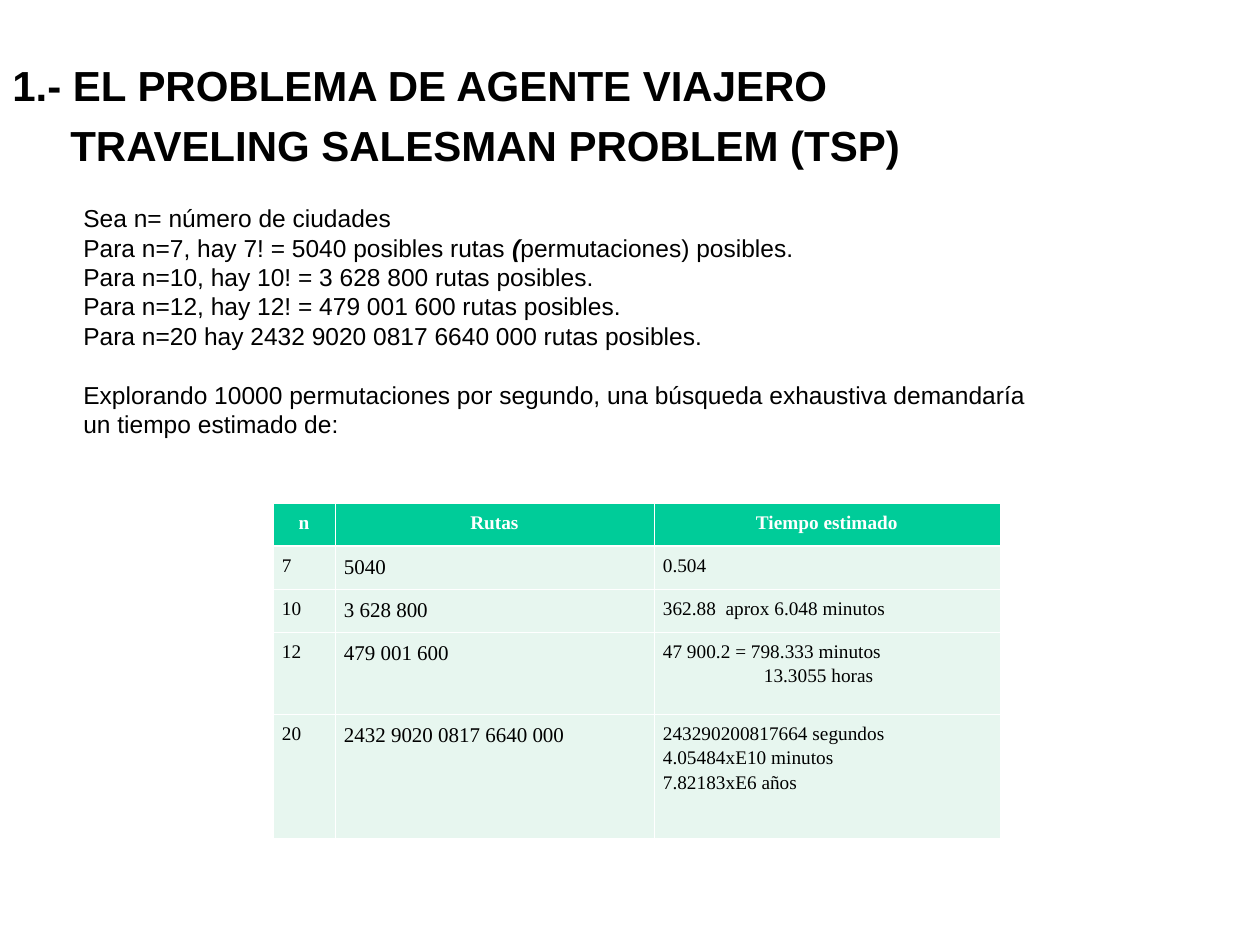
from lxml import etree
from pptx import Presentation
from pptx.dml.color import RGBColor
from pptx.enum.text import MSO_ANCHOR, PP_ALIGN
from pptx.oxml.ns import qn
from pptx.util import Emu, Pt

CENTER, LEFT = PP_ALIGN.CENTER, PP_ALIGN.LEFT
TOP, MIDDLE = MSO_ANCHOR.TOP, MSO_ANCHOR.MIDDLE
SCALE = 914400 / 126
BLACK, WHITE, GREEN, MINT = "000000", "FFFFFF", "00CC99", "E7F6EF"


def px(n):
    return Emu(round(n * SCALE))


def color(code):
    return RGBColor.from_string(code)


class Deck:
    sans, serif = "Arial", "Times New Roman"

    def __init__(self, wide, high):
        self.file = Presentation()
        self.file.slide_width, self.file.slide_height = px(wide), px(high)
        self.slide = self.file.slides.add_slide(self.file.slide_layouts[6])

    def run(self, para, text, size, font, tint=BLACK, bold=False, slant=False):
        run = para.add_run()
        run.text = text
        run.font.size, run.font.name = Pt(size), font
        run.font.bold, run.font.italic = bold, slant
        run.font.color.rgb = color(tint)

    def lines(self, frame, count):
        """Return the wanted number of paragraphs."""
        for _ in range(count - 1):
            frame.add_paragraph()
        return frame.paragraphs

    def indent(self, para, left):
        props = para._p.get_or_add_pPr()
        props.set("marL", str(px(left)))
        props.set("indent", "0")

    def text(self, box, rows, size, bold=False, anchor=TOP, inset=6):
        """Each row is a list of (text, emphasis) runs."""
        frame = self.slide.shapes.add_textbox(*map(px, box)).text_frame
        frame.word_wrap = True
        frame.vertical_anchor = anchor
        frame.margin_top = px(inset)
        paras = self.lines(frame, len(rows))
        for para, row in zip(paras, rows):
            for words, strong in row:
                self.run(para, words, size, self.sans, BLACK, bold or strong, strong)
        return paras

    def border(self, cell, widths):
        props = cell._tc.get_or_add_tcPr()
        for side, width in zip("LRTB", widths):
            line = etree.SubElement(props, qn("a:ln" + side), w=str(Pt(width)))
            fill = etree.SubElement(line, qn("a:solidFill"))
            etree.SubElement(fill, qn("a:srgbClr"), val=WHITE)

    def cell(self, cell, text, size, head, edges):
        self.border(cell, edges)
        cell.fill.solid()
        cell.fill.fore_color.rgb = color(GREEN if head else MINT)
        cell.margin_left = cell.margin_right = px(9)
        cell.margin_top = cell.margin_bottom = px(6)
        rows = text.split("\n")
        paras = self.lines(cell.text_frame, len(rows))
        for para, row in zip(paras, rows):
            para.alignment = CENTER if head else LEFT
            para.line_spacing = 1.15
            self.run(para, row, size, self.serif, WHITE if head else BLACK, head)
        return paras

    def table(self, left, top, cols, rows, data):
        grid = self.slide.shapes.add_table(
            len(rows), len(cols), px(left), px(top), px(sum(cols)), px(sum(rows))).table
        for col, width in zip(grid.columns, cols):
            col.width = px(width)
        thin, thick = 0.45, 1.47
        for r, (high, row) in enumerate(zip(rows, data)):
            grid.rows[r].height = px(high)
            edges = (thin, thin, thick if r == 1 else thin, thick if r == 0 else thin)
            for c, text in enumerate(row):
                size = 12 if r and c == 1 else 11
                self.cell(grid.cell(r, c), text, size, r == 0, edges)
        return grid


deck = Deck(1260, 945)

# Table of times
grid = deck.table(273, 503, [62, 319, 346], [43, 43, 43, 82, 125], [
    ("n", "Rutas", "Tiempo estimado"),
    ("7", "5040", "0.504"),
    ("10", "3 628 800", "362.88  aprox 6.048 minutos"),
    ("12", "479 001 600", "47 900.2 = 798.333 minutos\n13.3055 horas"),
    ("20", "2432 9020 0817 6640 000",
     "243290200817664 segundos\n4.05484xE10 minutos\n7.82183xE6 años"),
])
deck.indent(grid.cell(3, 2).text_frame.paragraphs[1], 101)

# Body text
body = deck.text((71, 197, 1005, 248), [
    [("Sea n= número de ciudades", False)],
    [("Para n=7, hay 7! = 5040 posibles rutas", False), (" (", True),
     ("permutaciones) posibles.", False)],
    [("Para n=10, hay 10! = 3 628 800 rutas posibles.", False)],
    [("Para n=12, hay 12! = 479 001 600 rutas posibles.", False)],
    [("Para n=20 hay 2432 9020 0817 6640 000 rutas posibles.", False)],
    [("Explorando 10000 permutaciones por segundo, una búsqueda exhaustiva demandaría",
      False)],
    [("un tiempo estimado de:", False)],
], 14, anchor=MIDDLE)
for para in body:
    para.line_spacing = Pt(16.8)
body[5].space_before = Pt(16.8)

# Title
title = deck.text((0, 33, 1007, 139), [
    [("1.- EL PROBLEMA DE AGENTE VIAJERO", False)],
    [("TRAVELING SALESMAN PROBLEM (TSP)", False)],
], 24, bold=True, inset=27)
deck.indent(title[1], 58)
title[1].space_before = Pt(5.5)

deck.file.save("out.pptx")
